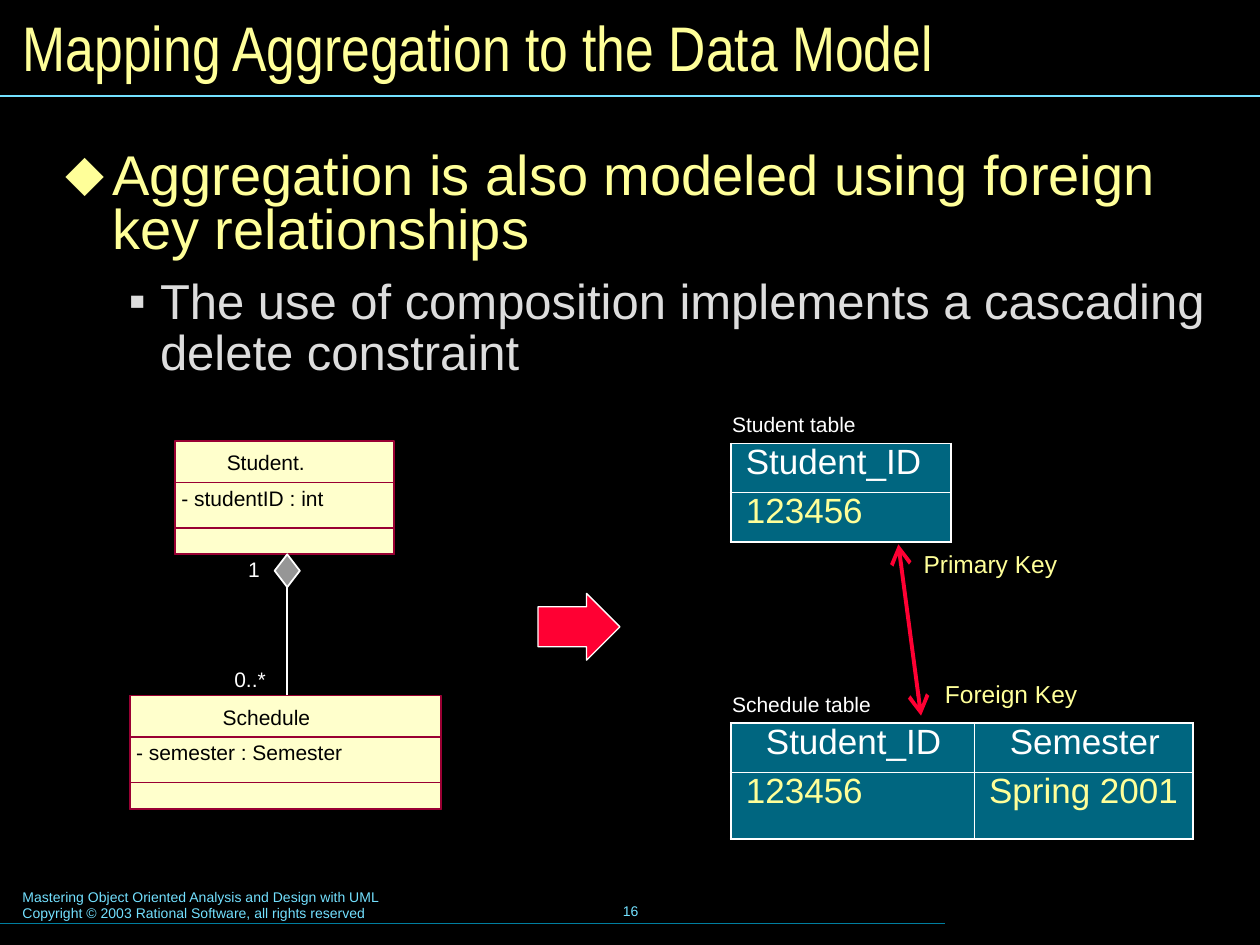
import dataclasses

import pptx
import pptx.dml.color
import pptx.enum.shapes
import pptx.enum.text
import pptx.oxml.ns
import pptx.util
from lxml import etree

Inches = pptx.util.Inches
Pt = pptx.util.Pt
Align = pptx.enum.text.PP_ALIGN
Anchor = pptx.enum.text.MSO_ANCHOR
Shape = pptx.enum.shapes.MSO_SHAPE
qn = pptx.oxml.ns.qn


@dataclasses.dataclass(frozen=True)
class Theme:
    background: str = "000000"
    yellow: str = "FFFF99"
    grey: str = "DDDDDD"
    white: str = "FFFFFF"
    cyan: str = "73E1FF"
    footer_rule: str = "007E9F"
    class_fill: str = "FFFFCC"
    class_line: str = "990033"
    diamond: str = "969696"
    red: str = "FF0033"
    cell: str = "00CCFF"
    body_font: str = "Arial"
    title_font: str = "Arial Narrow"
    title_size: int = 36
    bullet_size: int = 32
    subbullet_size: int = 28
    cell_size: int = 20
    key_size: int = 14
    label_size: int = 12
    footer_size: int = 8
    outer_border: float = 1.08
    inner_border: float = 0.45


THEME = Theme()


@dataclasses.dataclass(frozen=True)
class Box:
    left: float
    top: float
    width: float
    height: float

    def inside(self, left, top, width, height):
        return Box(self.left + left, self.top + top, width, height)

    def lengths(self):
        return [Inches(value) for value in dataclasses.astuple(self)]


def rgb(color):
    return pptx.dml.color.RGBColor.from_string(color)


def write(text_frame, text, size, color, font=THEME.body_font, align=Align.LEFT,
          anchor=Anchor.TOP, insets=(0, 0), wrap=False):
    """Write one paragraph for each line of text."""
    text_frame.text = text
    text_frame.word_wrap = wrap
    text_frame.vertical_anchor = anchor
    text_frame.margin_left = text_frame.margin_right = Inches(insets[0])
    text_frame.margin_top = text_frame.margin_bottom = Inches(insets[1])
    for paragraph in text_frame.paragraphs:
        paragraph.alignment = align
        paragraph.font.name = font
        paragraph.font.size = Pt(size)
        paragraph.font.color.rgb = rgb(color)


def add_label(slide, box, text, size=THEME.label_size, color=THEME.white, **text_format):
    text_box = slide.shapes.add_textbox(*box.lengths())
    write(text_box.text_frame, text, size, color, **text_format)


def paint(shape, fill, line, width=1):
    shape.shadow.inherit = False
    if fill:
        shape.fill.solid()
        shape.fill.fore_color.rgb = rgb(fill)
    else:
        shape.fill.background()
    shape.line.color.rgb = rgb(line)
    shape.line.width = Pt(width)


def add_line(slide, start, end, color, width, arrows=False):
    connector = slide.shapes.add_connector(
        pptx.enum.shapes.MSO_CONNECTOR.STRAIGHT,
        *[Inches(value) for value in (*start, *end)])
    connector.line.color.rgb = rgb(color)
    connector.line.width = Pt(width)
    if arrows:
        for name in ("a:headEnd", "a:tailEnd"):
            etree.SubElement(connector.line._ln, qn(name), type="arrow", w="lg", len="lg")
    etree.SubElement(connector._element.spPr, qn("a:effectLst"))


def place(placeholder, box):
    placeholder.left, placeholder.top, placeholder.width, placeholder.height = box.lengths()
    placeholder.text_frame.auto_size = pptx.enum.text.MSO_AUTO_SIZE.NONE


def add_title(slide, box, text):
    title = slide.shapes.title
    place(title, box)
    write(title.text_frame, text, THEME.title_size, THEME.yellow, font=THEME.title_font,
          anchor=Anchor.MIDDLE, insets=(0.1, 0.05), wrap=True)
    add_line(slide, (0, 0.76), (10, 0.76), THEME.cyan, 1)


def add_bullets(slide, box, bullets):
    body = slide.placeholders[1]
    place(body, box)
    write(body.text_frame, "\n".join(bullet[0] for bullet in bullets), THEME.bullet_size,
          THEME.yellow, insets=(0.12, 0.06), wrap=True)
    styles = (  # mark, size, colour, margin, hanging, line spacing
        ("⬥", THEME.bullet_size, THEME.yellow, 0.37, 0.37, 0.8),
        ("▪", THEME.subbullet_size, THEME.grey, 0.75, 0.25, 0.87),
    )
    for index, (paragraph, bullet) in enumerate(zip(body.text_frame.paragraphs, bullets)):
        level = bullet[1]
        mark, size, color, margin, hanging, spacing = styles[level]
        paragraph.level = level
        properties = paragraph._p.get_or_add_pPr()
        properties.set("marL", str(Inches(margin)))
        properties.set("indent", str(-Inches(hanging)))
        bullet_color = etree.Element(qn("a:buClr"))
        etree.SubElement(bullet_color, qn("a:srgbClr"), val=color)
        bullet_char = etree.Element(qn("a:buChar"), char=mark)
        properties.insert(0, bullet_color)
        properties.insert(1, bullet_char)
        paragraph.line_spacing = spacing
        paragraph.space_before = Pt(10.5 if index else 0)
        paragraph.font.size = Pt(size)
        paragraph.font.color.rgb = rgb(color)


def add_uml_class(slide, box, name, attribute):
    for top, fill in ((0, THEME.class_fill), (0.33, None), (0.69, None)):
        part = box.inside(0, top, box.width, box.height - top)
        paint(slide.shapes.add_shape(Shape.RECTANGLE, *part.lengths()), fill, THEME.class_line)
    add_label(slide, box.inside(0, 0.07, box.width - 0.3, 0.2), name,
              color=THEME.background, align=Align.CENTER)
    add_label(slide, box.inside(0.05, 0.35, box.width - 0.1, 0.2), attribute,
              color=THEME.background)


def add_aggregation(slide, box):
    """Draw the diamond at the whole, the line to the part and both multiplicities."""
    middle = box.left + box.width / 2
    half_height = 0.13
    add_line(slide, (middle, box.top + box.height), (middle, box.top + 2 * half_height),
             THEME.white, 1)
    corners = [(Inches(x), Inches(y)) for x, y in (
        (middle, box.top),
        (box.left + box.width, box.top + half_height),
        (middle, box.top + 2 * half_height),
        (box.left, box.top + half_height))]
    builder = slide.shapes.build_freeform(*corners[0])
    builder.add_line_segments(corners[1:], close=True)
    paint(builder.convert_to_shape(), THEME.diamond, THEME.white)
    add_label(slide, box.inside(-0.21, 0.02, 0.09, 0.2), "1")
    add_label(slide, box.inside(-0.32, 0.89, 0.25, 0.2), "0..*")


def format_cell(cell, borders):
    cell.fill.solid()
    cell.fill.fore_color.rgb = rgb(THEME.cell)
    properties = cell._tc.get_or_add_tcPr()
    etree.SubElement(properties.find(".//" + qn("a:srgbClr")), qn("a:alpha"), val="50000")
    for index, (side, outer) in enumerate(borders.items()):
        width = THEME.outer_border if outer else THEME.inner_border
        line = etree.Element(qn("a:" + side), w=str(Pt(width)))
        fill = etree.SubElement(line, qn("a:solidFill"))
        etree.SubElement(fill, qn("a:srgbClr"), val=THEME.white)
        properties.insert(index, line)


def add_data_table(slide, box, caption, rows, widths, heights, header_align):
    add_label(slide, box.inside(-0.11, -0.31, 1.39, 0.32), caption, insets=(0.12, 0.06))
    table = slide.shapes.add_table(len(rows), len(widths), *box.lengths()).table
    for column, width in zip(table.columns, widths):
        column.width = Inches(width)
    for row, height in zip(table.rows, heights):
        row.height = Inches(height)
    for row, values in enumerate(rows):
        for column, value in enumerate(values):
            cell = table.cell(row, column)
            write(cell.text_frame, value, THEME.cell_size,
                  THEME.yellow if row else THEME.white,
                  align=Align.LEFT if row else header_align, wrap=True)
            cell.text_frame.paragraphs[0].line_spacing = 0.8
            cell.margin_left, cell.margin_right = Inches(0.12), Inches(0.1)
            cell.margin_top = cell.margin_bottom = Inches(0.05)
            format_cell(cell, {"lnL": column == 0, "lnR": column == len(widths) - 1,
                               "lnT": row == 0, "lnB": row == len(rows) - 1})


def add_key_link(slide, start, end):
    add_line(slide, start, end, THEME.red, 2.25, arrows=True)
    for text, left, top in (("Primary Key", 7.21, 4.3), ("Foreign Key", 7.38, 5.33)):
        add_label(slide, Box(left, top, 1.4, 0.35), text, size=THEME.key_size,
                  color=THEME.yellow, insets=(0.12, 0.06))


def add_mapping_arrow(slide, box):
    arrow = slide.shapes.add_shape(Shape.RIGHT_ARROW, *box.lengths())
    arrow.adjustments[0], arrow.adjustments[1] = 0.6, 0.5
    paint(arrow, THEME.red, THEME.white, 0.75)


def add_footer(slide, box, text, number):
    footer_format = dict(size=THEME.footer_size, color=THEME.cyan, insets=(0.1, 0.05))
    add_label(slide, box.inside(0.08, 0.02, 5.1, 0.37), text, wrap=True, **footer_format)
    add_label(slide, box.inside(3.42, 0, 3.17, 0.5), number, align=Align.CENTER,
              anchor=Anchor.MIDDLE, **footer_format)
    add_line(slide, (box.left, box.top + 0.35), (box.left + 7.5, box.top + 0.35),
             THEME.footer_rule, 1)


def main():
    presentation = pptx.Presentation()
    presentation.slide_width, presentation.slide_height = Inches(10), Inches(7.5)
    slide = presentation.slides.add_slide(presentation.slide_layouts[1])
    slide.background.fill.solid()
    slide.background.fill.fore_color.rgb = rgb(THEME.background)

    add_title(slide, Box(0.08, 0.08, 9.84, 0.58), "Mapping Aggregation to the Data Model")
    add_bullets(slide, Box(0.4, 1.15, 9.29, 5.52), (
        ("Aggregation is also modeled using foreign key relationships", 0),
        ("The use of composition implements a cascading delete constraint", 1)))
    add_uml_class(slide, Box(1.39, 3.5, 1.74, 0.9), "Student.", "- studentID : int")
    add_uml_class(slide, Box(1.03, 5.52, 2.47, 0.9), "Schedule", "- semester : Semester")
    add_aggregation(slide, Box(2.18, 4.4, 0.2, 1.12))
    add_mapping_arrow(slide, Box(4.27, 4.71, 0.65, 0.53))
    add_data_table(slide, Box(5.8, 3.52, 1.75, 0.78), "Student table",
                   (("Student_ID",), ("123456",)), (1.75,), (0.39, 0.39), Align.LEFT)
    add_data_table(slide, Box(5.8, 5.74, 3.67, 0.92), "Schedule table",
                   (("Student_ID", "Semester"), ("123456", "Spring 2001")),
                   (1.93, 1.74), (0.39, 0.53), Align.CENTER)
    add_key_link(slide, (7.13, 4.32), (7.31, 5.68))
    add_footer(slide, Box(0, 6.98, 10, 0.5),
               "Mastering Object Oriented Analysis and Design with UML\n"
               "Copyright © 2003 Rational Software, all rights reserved", "16")
    presentation.save("out.pptx")


if __name__ == "__main__":
    main()
